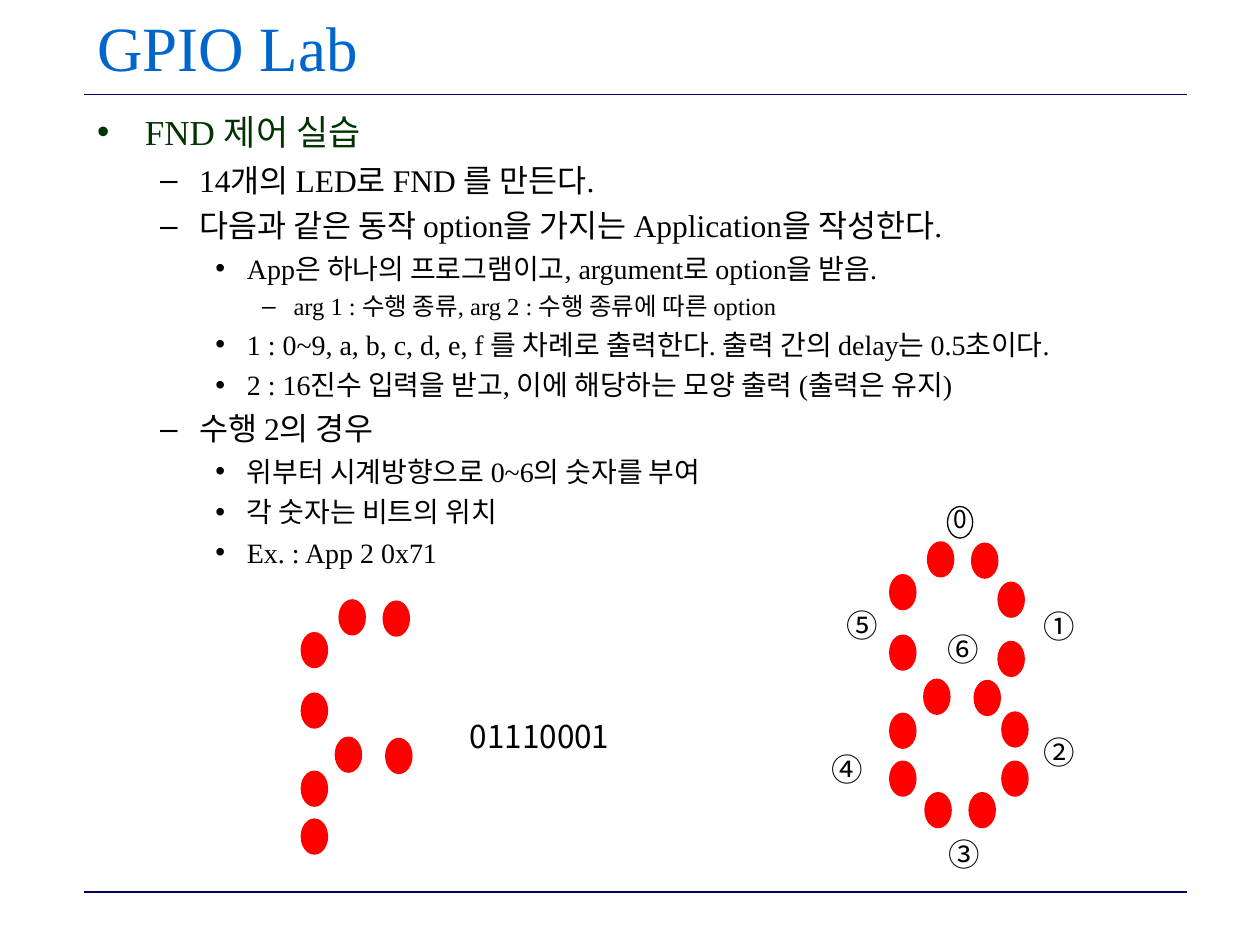
import pptx
import pptx.util
import pptx.dml.color
import pptx.enum.shapes
import pptx.enum.text
import pptx.oxml.ns
import lxml.etree

PX = 9144
LATIN = "Times New Roman"
HANGUL = "Noto Sans CJK KR"
COLORS = {"title": "0066CC", "head": "003300", "text": "000000",
          "rule": "000066", "led": "FF0000"}


def style(para, size, face, color):
    for run in para.runs:
        run.font.size = pptx.util.Pt(size)
        run.font.name = face
        run.font.color.rgb = pptx.dml.color.RGBColor.from_string(COLORS[color])
        east = lxml.etree.SubElement(run.font._element, pptx.oxml.ns.qn("a:ea"))
        east.set("typeface", HANGUL)


def oval(left, top, wide, high, color, line, solid):
    dot = slide.shapes.add_shape(pptx.enum.shapes.MSO_SHAPE.OVAL,
                                 left * PX, top * PX, wide * PX, high * PX)
    dot.shadow.inherit = False
    shade = pptx.dml.color.RGBColor.from_string(COLORS[color])
    if solid:
        dot.fill.solid()
        dot.fill.fore_color.rgb = shade
    else:
        dot.fill.background()
    dot.line.color.rgb = shade
    dot.line.width = pptx.util.Pt(line)


deck = pptx.Presentation()
deck.slide_width = 1000 * PX
deck.slide_height = 750 * PX
slide = deck.slides.add_slide(deck.slide_layouts[1])

for y in (708, 75):
    rule = slide.shapes.add_connector(pptx.enum.shapes.MSO_CONNECTOR.STRAIGHT,
                                      67 * PX, y * PX, 942 * PX, y * PX)
    rule.line.color.rgb = pptx.dml.color.RGBColor.from_string(COLORS["rule"])
    rule.line.width = pptx.util.Pt(1)
    lxml.etree.SubElement(rule._element.spPr, pptx.oxml.ns.qn("a:effectLst"))

title = slide.shapes.title
body = slide.placeholders[1]
for box, top, high, anchor in (
        (title, 8, 58, pptx.enum.text.MSO_ANCHOR.MIDDLE),
        (body, 83, 608, pptx.enum.text.MSO_ANCHOR.TOP)):
    box.left, box.top, box.width, box.height = 67 * PX, top * PX, 875 * PX, high * PX
    box.text_frame.auto_size = pptx.enum.text.MSO_AUTO_SIZE.NONE
    box.text_frame.vertical_anchor = anchor

title.text_frame.text = "GPIO Lab"
head = title.text_frame.paragraphs[0]
head.alignment = pptx.enum.text.PP_ALIGN.LEFT
style(head, 36, LATIN, "title")

LEVELS = [(38, 38, 20, 5, "head"), (81, 31, 18, 4.5, "text"),
          (119, 25, 16, 4, "text"), (156, 25, 14, 3.5, "text")]
ITEMS = [
    (0, "FND 제어 실습"),
    (1, "14개의 LED로 FND 를 만든다."),
    (1, "다음과 같은 동작 option을 가지는 Application을 작성한다."),
    (2, "App은 하나의 프로그램이고, argument로 option을 받음."),
    (3, "arg 1 : 수행 종류, arg 2 : 수행 종류에 따른 option"),
    (2, "1 : 0~9, a, b, c, d, e, f 를 차례로 출력한다. 출력 간의 delay는 0.5초이다."),
    (2, "2 : 16진수 입력을 받고, 이에 해당하는 모양 출력 (출력은 유지)"),
    (1, "수행 2의 경우"),
    (2, "위부터 시계방향으로 0~6의 숫자를 부여"),
    (2, "각 숫자는 비트의 위치"),
    (2, "Ex. : App 2 0x71"),
]
body.text_frame.text = "\n".join(text for level, text in ITEMS)
for para, (level, text) in zip(body.text_frame.paragraphs, ITEMS):
    left, hang, size, gap, color = LEVELS[level]
    para.level = level
    para.space_before = pptx.util.Pt(gap)
    props = para._element.get_or_add_pPr()
    props.set("marL", str(left * PX))
    props.set("indent", str(-hang * PX))
    style(para, size, LATIN, color)

SEGMENTS = [
    [(737, 431), (772, 432)],
    [(793, 463), (793, 510)],
    [(796, 566), (796, 605)],
    [(735, 630), (770, 630)],
    [(707, 567), (707, 605)],
    [(707, 457), (707, 505)],
    [(774, 541), (734, 540)],
]
for code, dx, dy in ((0x7F, 0, 0), (0x71, -467, 46)):
    for bit, leds in enumerate(SEGMENTS):
        if code >> bit & 1:
            for x, y in leds:
                oval(x + dx, y + dy, 19, 26, "led", 2, True)

LABELS = [
    ("0", 747, 395, 31, 34, 14), ("①", 818, 477, 45, 40, 18),
    ("②", 818, 577, 45, 40, 18), ("③", 743, 658, 45, 40, 18),
    ("④", 650, 590, 45, 40, 18), ("⑤", 662, 476, 45, 40, 18),
    ("⑥", 742, 495, 45, 40, 18), ("01110001", 363, 564, 134, 40, 18),
]
for text, left, top, wide, high, size in LABELS:
    label = slide.shapes.add_textbox(left * PX, top * PX, wide * PX, high * PX)
    label.text_frame.word_wrap = False
    label.text_frame.text = text
    style(label.text_frame.paragraphs[0], size, HANGUL, "text")
oval(752, 402, 20, 25, "text", 0.75, False)

deck.save("out.pptx")
